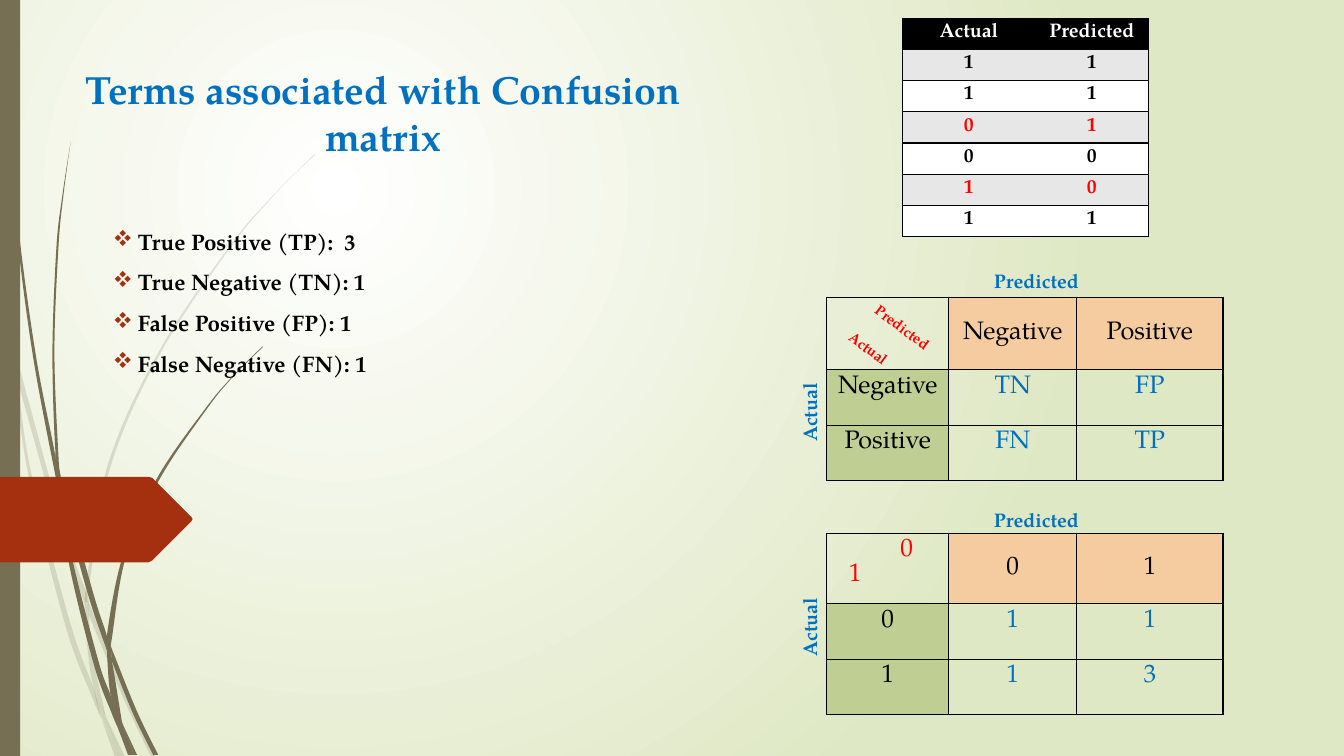
from dataclasses import dataclass
from typing import Callable, Optional

from lxml.etree import SubElement
from pptx import Presentation
from pptx.dml.color import RGBColor
from pptx.enum.shapes import MSO_SHAPE
from pptx.enum.text import MSO_ANCHOR, PP_ALIGN
from pptx.oxml import parse_xml
from pptx.oxml.ns import nsdecls, qn
from pptx.util import Inches, Pt

FONT = "TeX Gyre Pagella"
HUES = {
    "white": "FFFFFF", "black": "000000", "red": "FF0000", "blue": "0070C0",
    "sage": "DFE8C4", "bark": "766F54", "rust": "A53010", "gray": "E7E7E7",
    "peach": "F5CBA0", "green": "BFCE92"}
Edge = list[tuple[float, float]]
Look = tuple[str, Optional[str]]

@dataclass
class Blade:
    """A piece of grass between two curved edges, both from top to bottom."""
    near: Edge
    far: Edge

@dataclass
class Label:
    """A line of text in a box of its own."""
    text: str
    box: tuple[float, float, float, float]
    size: float = 14
    ink: str = "blue"
    turn: float = 0

@dataclass
class Grid:
    """A table, with a rule that gives each cell its ink and fill."""
    left: float
    top: float
    cols: list[float]
    rows: list[float]
    cells: list[list[str]]
    look: Callable[[int, int], Look]
    size: float = 18
    inner: bool = True

def hue(name: str) -> RGBColor:
    """Look up a colour."""
    return RGBColor.from_string(HUES[name])

def style(frame, size: float, ink: str, bold: bool, align=PP_ALIGN.CENTER) -> None:
    """Format all the text in a frame."""
    for para in frame.paragraphs:
        para.alignment = align
        for run in para.runs:
            font = run.font
            font.name, font.size, font.bold = FONT, Pt(size), bold
            font.color.rgb = hue(ink)

def paint(shape, ink: str) -> None:
    """Give a shape a plain fill with no line or shadow."""
    shape.shadow.inherit = False
    shape.fill.solid()
    shape.fill.fore_color.rgb = hue(ink)
    shape.line.fill.background()

def add_form(slide, edge: Edge, ink: str):
    """Draw a closed outline."""
    spots = [(Inches(x), Inches(y)) for x, y in edge]
    pen = slide.shapes.build_freeform(*spots[0])
    pen.add_line_segments(spots[1:], close=True)
    shape = pen.convert_to_shape()
    paint(shape, ink)
    return shape

def bend(shape, lines: list, edge: Edge) -> None:
    """Turn the lines along an edge into one smooth curve."""
    spots = [(Inches(x) - shape.left, Inches(y) - shape.top) for x, y in edge]
    ends = [spots[0], *spots, spots[-1]]
    for line, a, b, c, d in zip(lines, ends, ends[1:], ends[2:], ends[3:]):
        knobs = ([q + (r - p) / 6 for p, q, r in zip(a, b, c)],
                 [q - (r - p) / 6 for p, q, r in zip(b, c, d)], c)
        marks = "".join(f'<a:pt x="{x:.0f}" y="{y:.0f}"/>' for x, y in knobs)
        line.getparent().replace(line, parse_xml(
            f'<a:cubicBezTo {nsdecls("a")}>{marks}</a:cubicBezTo>'))

def add_blade(slide, blade: Blade, faint: bool) -> None:
    """Draw a piece of grass, see-through if faint."""
    back = blade.far[::-1]
    shape = add_form(slide, blade.near + back, "bark")
    lines = list(shape._element.iter(qn("a:lnTo")))
    bend(shape, lines[:len(blade.near) - 1], blade.near)
    bend(shape, lines[len(blade.near):], back)
    if faint:
        tint = next(shape._element.spPr.iter(qn("a:srgbClr")))
        SubElement(tint, qn("a:alpha"), val="20000")

def add_text(slide, text: str, box: tuple[float, float, float, float]):
    """Add a text box that wraps."""
    shape = slide.shapes.add_textbox(*map(Inches, box))
    shape.text_frame.word_wrap = True
    shape.text_frame.text = text
    return shape

def add_lines(cell, sides: str) -> None:
    """Rule the given sides of a cell and clear the rest."""
    for spot, side in enumerate("LRTB"):
        fill = (f'<a:solidFill><a:srgbClr val="{HUES["black"]}"/></a:solidFill>'
                if side in sides else "<a:noFill/>")
        cell._tc.get_or_add_tcPr().insert(spot, parse_xml(
            f'<a:ln{side} {nsdecls("a")} w="{Pt(1)}">{fill}</a:ln{side}>'))

def add_grid(slide, grid: Grid):
    """Draw a table and return it."""
    table = slide.shapes.add_table(
        len(grid.rows), len(grid.cols), Inches(grid.left), Inches(grid.top),
        Inches(sum(grid.cols)), Inches(sum(grid.rows))).table
    table.first_row = table.horz_banding = False
    for col, width in zip(table.columns, grid.cols):
        col.width = Inches(width)
    for row, height in zip(table.rows, grid.rows):
        row.height = Inches(height)
    for i, texts in enumerate(grid.cells):
        for j, text in enumerate(texts):
            cell = table.cell(i, j)
            ink, fill = grid.look(i, j)
            cell.text_frame.text = text
            style(cell.text_frame, grid.size, ink, not grid.inner)
            cell.fill.background()
            if fill:
                cell.fill.solid()
                cell.fill.fore_color.rgb = hue(fill)
            if not grid.inner:
                cell.margin_bottom = 0
            elif i == 0 and j > 0:
                cell.vertical_anchor = MSO_ANCHOR.MIDDLE
            add_lines(cell, "LRTB" if grid.inner else "LTB" if j == 0 else "RTB")
    return table

def pair_look(i: int, j: int) -> Look:
    """Band the rows, with wrong guesses in red."""
    if i == 0:
        return "white", "black"
    return ("black" if len(set(PAIRS[i])) == 1 else "red"), ("gray" if i % 2 else "white")

def term_look(i: int, j: int) -> Look:
    """Shade the heads of a matrix and set its counts in blue."""
    if i == 0:
        return ("black", "peach") if j else ("red", None)
    return ("blue", None) if j else ("black", "green")

PAIRS = [["Actual", "Predicted"], *map(list, ("11", "11", "01", "00", "10", "11"))]
TERMS = [["", "Negative", "Positive"], ["Negative", "TN", "FP"], ["Positive", "FN", "TP"]]
COUNTS = [["0\n1", "0", "1"], ["0", "1", "1"], ["1", "1", "3"]]
COLS = [1.21, 1.27, 1.45]
FAINT = [
    Blade([(0, 2.82), (.09, 3.22), (.11, 3.5)], [(0, 2.99), (.1, 3.44), (.11, 3.5)]),
    Blade([(.14, 3.45), (.62, 5.2), (.85, 5.86)], [(.17, 3.76), (.58, 5.22), (.84, 5.99)]),
    Blade([(.88, 5.96), (.92, 6.07), (1.27, 6.92), (1.55, 7.51)], [(.88, 6.1), (1.23, 6.94), (1.5, 7.51)]),
    Blade([(1.05, 7.11), (1.24, 7.51)], [(1.05, 7.11), (1.19, 7.51)]),
    Blade([(.11, 3.5), (.17, 3.76), (.31, 4.69), (.7, 6.19), (.93, 6.83), (.99, 7.07), (1.01, 7.14)],
          [(.11, 3.5), (.28, 4.7), (.65, 6.21), (.92, 6.93), (1.01, 7.14)]),
    Blade([(.84, 5.99), (.88, 6.1), (.91, 6.46), (1.05, 7.11)],
          [(.84, 5.99), (.87, 6.46), (.93, 6.83), (1.05, 7.11)]),
    Blade([(3.12, 1.53), (2.68, 1.97), (2.28, 2.44), (1.58, 3.48), (1.07, 4.61), (.85, 5.84), (.88, 5.96)],
          [(3.12, 1.54), (2.9, 1.75), (2.68, 1.98), (2.29, 2.45), (1.6, 3.49), (1.1, 4.62), (.88, 5.84), (.88, 5.96)]),
    Blade([(1.01, 7.14), (1.19, 7.51)], [(1.01, 7.14), (1.14, 7.51)]),
    Blade([(.85, 5.86), (.88, 5.96), (.88, 6.1)], [(.84, 5.99), (.88, 6.08), (.88, 6.1)]),
    Blade([(.93, 6.83), (.96, 6.92), (1.05, 7.11), (1.19, 7.51)], [(.93, 6.83), (.99, 7.07), (1.19, 7.51)])]
DARK = [
    Blade([(.04, 0), (.05, .48), (.08, 1.09), (.19, 2.32), (.36, 3.55), (.55, 4.53), (.57, 4.81)],
          [(.03, 0), (.04, .48), (.07, 1.1), (.17, 2.33), (.33, 3.55), (.56, 4.77), (.57, 4.81)]),
    Blade([(.6, 4.72), (.93, 5.9), (1.06, 6.31), (1.06, 6.45)], [(.64, 5.05), (.88, 5.92), (1.06, 6.45)]),
    Blade([(1.1, 6.41), (1.13, 6.49), (1.36, 7.06), (1.57, 7.49)], [(1.11, 6.56), (1.32, 7.08), (1.52, 7.49)]),
    Blade([(.57, 4.77), (.64, 5.05), (.72, 5.56), (.98, 6.57), (1.1, 6.91), (1.17, 7.22)],
          [(.57, 4.77), (.68, 5.57), (.93, 6.59), (1.11, 7.08), (1.17, 7.22)]),
    Blade([(.7, 1.41), (.63, 1.93), (.58, 2.45), (.54, 3.49), (.58, 4.53), (.6, 4.72)],
          [(.7, 1.41), (.62, 1.93), (.56, 2.45), (.52, 3.49), (.55, 4.49), (.6, 4.72)]),
    Blade([(1.22, 7.19), (1.36, 7.49)], [(1.22, 7.19), (1.33, 7.49)]),
    Blade([(.55, 4.49), (.6, 4.72), (.64, 5.05)], [(.55, 4.53), (.57, 4.77), (.64, 5.05)]),
    Blade([(2.6, 3.44), (2.31, 3.73), (2.04, 4.05), (1.56, 4.74), (1.22, 5.51), (1.06, 6.31), (1.1, 6.41)],
          [(2.61, 3.44), (2.31, 3.74), (2.05, 4.06), (1.58, 4.76), (1.25, 5.52), (1.11, 6.33), (1.1, 6.41)]),
    Blade([(1.17, 7.22), (1.31, 7.49)], [(1.17, 7.22), (1.27, 7.49)]),
    Blade([(1.06, 6.45), (1.11, 6.56), (1.21, 7.16), (1.22, 7.19)], [(1.06, 6.45), (1.1, 6.91), (1.22, 7.19)]),
    Blade([(1.06, 6.31), (1.1, 6.41), (1.11, 6.56)], [(1.06, 6.31), (1.06, 6.45), (1.11, 6.56)]),
    Blade([(1.1, 6.91), (1.22, 7.19), (1.33, 7.49)], [(1.1, 6.91), (1.17, 7.22), (1.3, 7.49)])]
FLAG = [(0, 4.73), (1.47, 4.73), (1.51, 4.74), (1.9, 5.13), (1.91, 5.15),
        (1.9, 5.17), (1.51, 5.56), (1.47, 5.58), (0, 5.58)]
LABELS = [
    *(Label("Predicted", (9.76, top, 1.12, .34)) for top in (2.62, 4.99)),
    *(Label("Actual", (7.61, top, .84, .34), turn=270) for top in (3.89, 6.02)),
    Label("Actual", (8.25, 3.46, 1.12, .28), 10.5, "red", 36.6),
    Label("Predicted", (8.52, 3.16, 1, .28), 10.5, "red", 36.6)]
POINTS = ["True Positive (TP):  3", "True Negative (TN): 1",
          "False Positive (FP): 1", "False Negative (FN): 1"]
deck = Presentation()
deck.slide_width, deck.slide_height = Inches(13.33), Inches(7.5)
slide = deck.slides.add_slide(deck.slide_layouts[6])
back = slide.background.fill
back.gradient()
for stop, name, place in zip(back.gradient_stops, ("white", "sage"), (0, 1)):
    stop.color.rgb, stop.position = hue(name), place
line = next(slide._element.iter(qn("a:lin")))
line.getparent().replace(line, parse_xml(
    f'<a:path {nsdecls("a")} path="circle">'
    '<a:fillToRect l="50000" t="50000" r="100000" b="100000"/></a:path>'))
for blade in FAINT + DARK:
    add_blade(slide, blade, blade in FAINT)
paint(slide.shapes.add_shape(MSO_SHAPE.RECTANGLE, 0, 0, Inches(.2), Inches(7.5)), "bark")
add_form(slide, FLAG, "rust")
title = add_text(slide, "Terms associated with Confusion matrix", (.57, 1.07, 6.46, .56)).text_frame
title.vertical_anchor = MSO_ANCHOR.BOTTOM
style(title, 28, "blue", True)
terms = add_text(slide, "\n".join(POINTS), (.9, 2.21, 3.11, 1.66)).text_frame
style(terms, 16, "black", True, PP_ALIGN.LEFT)
for para in terms.paragraphs:
    para.space_before = Pt(10)
    props = para._p.get_or_add_pPr()
    props.set("marL", str(Inches(.37)))
    props.set("indent", str(Inches(-.25)))
    SubElement(SubElement(props, qn("a:buClr")), qn("a:srgbClr"), val=HUES["rust"])
    SubElement(props, qn("a:buFont"), typeface="Wingdings", charset="2")
    SubElement(props, qn("a:buChar"), char="v")
add_grid(slide, Grid(8.95, .18, [1.32, 1.12], [.31] * 7, PAIRS, pair_look, 14, False))
add_grid(slide, Grid(8.2, 2.95, COLS, [.72, .55, .55], TERMS, term_look))
counts = add_grid(slide, Grid(8.2, 5.29, COLS, [.7, .55, .55], COUNTS, term_look))
for para, inset in zip(counts.cell(0, 0).text_frame.paragraphs, (.63, .12)):
    para.alignment = PP_ALIGN.LEFT
    para._p.get_or_add_pPr().set("marL", str(Inches(inset)))
for label in LABELS:
    shape = add_text(slide, label.text, label.box)
    shape.rotation = label.turn
    style(shape.text_frame, label.size, label.ink, True, PP_ALIGN.LEFT)
deck.save("out.pptx")
